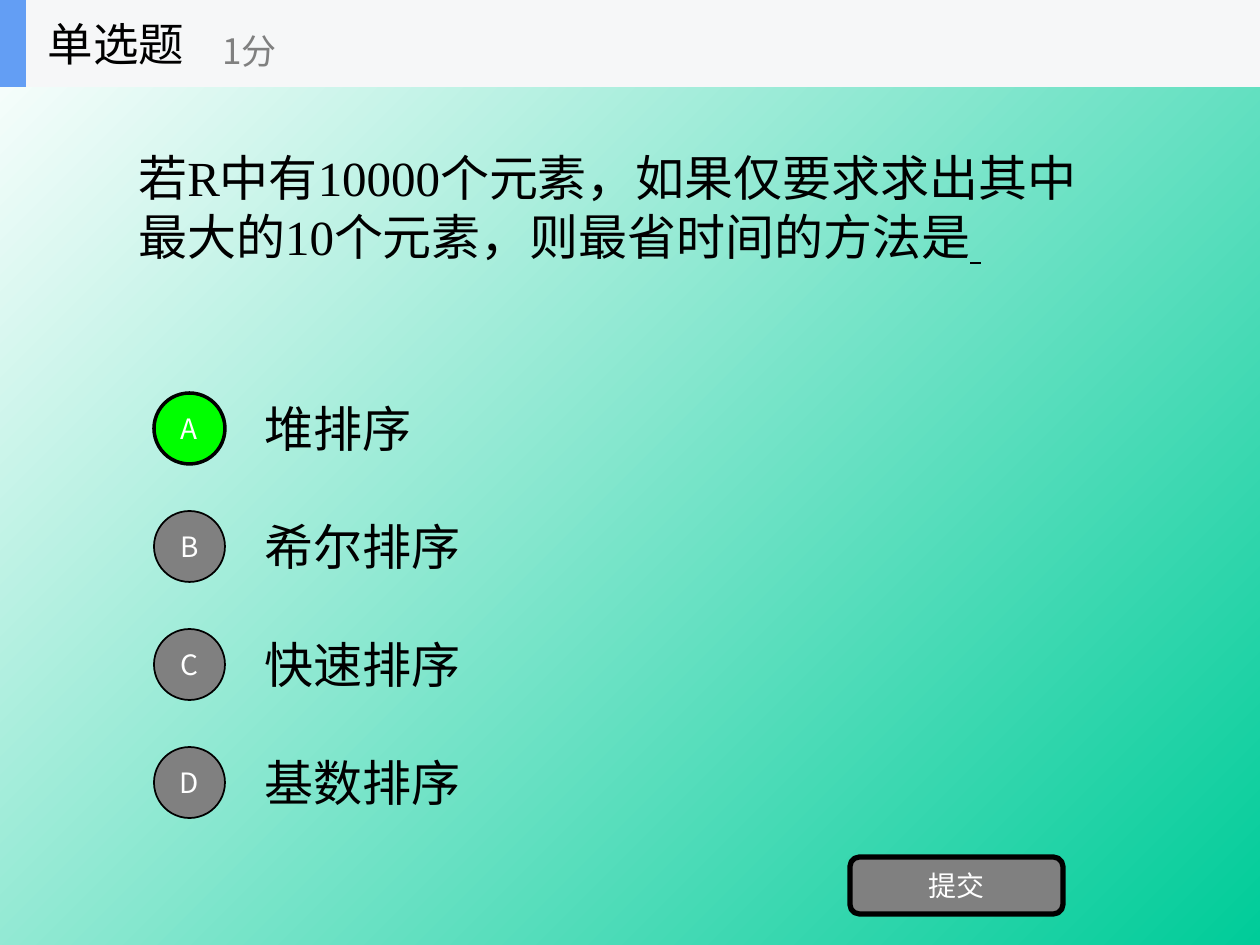
"""Build a single-choice quiz slide."""
from lxml import etree
from pptx import Presentation
from pptx.dml.color import RGBColor
from pptx.enum.shapes import MSO_SHAPE
from pptx.enum.text import MSO_ANCHOR, MSO_AUTO_SIZE, PP_ALIGN
from pptx.oxml.ns import qn
from pptx.util import Emu, Pt

RECT, OVAL = MSO_SHAPE.RECTANGLE, MSO_SHAPE.OVAL
ROUND = MSO_SHAPE.ROUNDED_RECTANGLE
MIDDLE, FIXED = MSO_ANCHOR.MIDDLE, MSO_AUTO_SIZE.NONE
LEFT, CENTER = PP_ALIGN.LEFT, PP_ALIGN.CENTER
SANS, SERIF = "Noto Sans CJK SC", "Times New Roman"
BLACK, WHITE, GRAY, GREEN = "000000", "FFFFFF", "808080", "00FF00"
TITLE_ONLY = 5


def px(*sizes):
    """Turn pixels into EMU."""
    return [Emu(round(size * 914400 / 126)) for size in sizes]


def color(code):
    """Turn a hex string into a colour."""
    return RGBColor.from_string(code)


class Quiz:
    """Hold the style and the current slide."""

    text = {"size": Pt(28), "name": SERIF}
    label = {"size": Pt(16), "name": SANS}
    head = {"size": Pt(26), "name": SANS}
    note = {"size": Pt(20), "name": SANS}

    def __init__(self, deck):
        """Add a slide with a gradient background."""
        self.slide = deck.slides.add_slide(deck.slide_layouts[TITLE_ONLY])
        self.shapes = self.slide.shapes
        fill = self.slide.background.fill
        fill.gradient()
        fill.gradient_angle = 315
        for stop, code in zip(fill.gradient_stops, (WHITE, "00CC99")):
            stop.color.rgb = color(code)

    def run(self, para, words, style, tint):
        """Add a styled run to a paragraph."""
        run = para.add_run()
        run.text = words
        for key, value in style.items():
            setattr(run.font, key, value)
        run.font.color.rgb = color(tint)
        props = run._r.get_or_add_rPr()
        etree.SubElement(props, qn("a:ea"), typeface=SANS)

    def put(self, shape, words, style, tint, align=LEFT):
        """Fill the text frame of a shape."""
        frame = shape.text_frame
        form = {"word_wrap": True, "auto_size": FIXED, "vertical_anchor": MIDDLE}
        for key, value in form.items():
            setattr(frame, key, value)
        para = frame.paragraphs[0]
        para.alignment = align
        self.run(para, words, style, tint)
        return para

    def title(self, box, words):
        """Place the title in front of the header band."""
        shape = self.shapes.title
        for key, value in zip(("left", "top", "width", "height"), px(*box)):
            setattr(shape, key, value)
        self.put(shape, words, self.head, BLACK)
        shape.element.getparent().append(shape.element)

    def box(self, box, words, style, tint=BLACK):
        """Add a text box."""
        return self.put(self.shapes.add_textbox(*px(*box)), words, style, tint)

    def shape(self, kind, box, fill, line=0, words=""):
        """Add a filled shape with an optional outline and label."""
        shape = self.shapes.add_shape(kind, *px(*box))
        shape.shadow.inherit = False
        shape.fill.solid()
        shape.fill.fore_color.rgb = color(fill)
        if line:
            shape.line.color.rgb = color(BLACK)
            shape.line.width = Pt(line)
        else:
            shape.line.fill.background()
        if words:
            self.put(shape, words, self.label, WHITE, CENTER)


def main():
    """Build and save the slide."""
    deck = Presentation()
    deck.slide_width, deck.slide_height = px(1260, 945)
    quiz = Quiz(deck)

    ask = "若R中有10000个元素，如果仅要求求出其中最大的10个元素，则最省时间的方法是"
    para = quiz.box((126, 59, 1008, 295), ask, quiz.text)
    quiz.run(para, " ", {**quiz.text, "underline": True}, BLACK)

    picks = ("堆排序", "希尔排序", "快速排序", "基数排序")
    for row, (mark, pick) in enumerate(zip("ABCD", picks)):
        top = 384 + 118 * row
        fill, line = (GREEN, 2) if mark == "A" else (GRAY, 1)
        quiz.box((252, top, 882, 88), pick, quiz.text)
        quiz.shape(OVAL, (154, top + 9, 71, 71), fill, line, mark)
    quiz.shape(ROUND, (850, 857, 213, 57), GRAY, 3, "提交")

    quiz.shape(RECT, (0, 0, 1260, 87), "F6F7F8")
    quiz.shape(RECT, (0, 0, 26, 87), "639EF4")
    quiz.title((35, 0, 262, 87), "单选题")
    quiz.box((210, 15, 315, 71), "1分", quiz.note, GRAY)
    deck.save("out.pptx")


if __name__ == "__main__":
    main()
